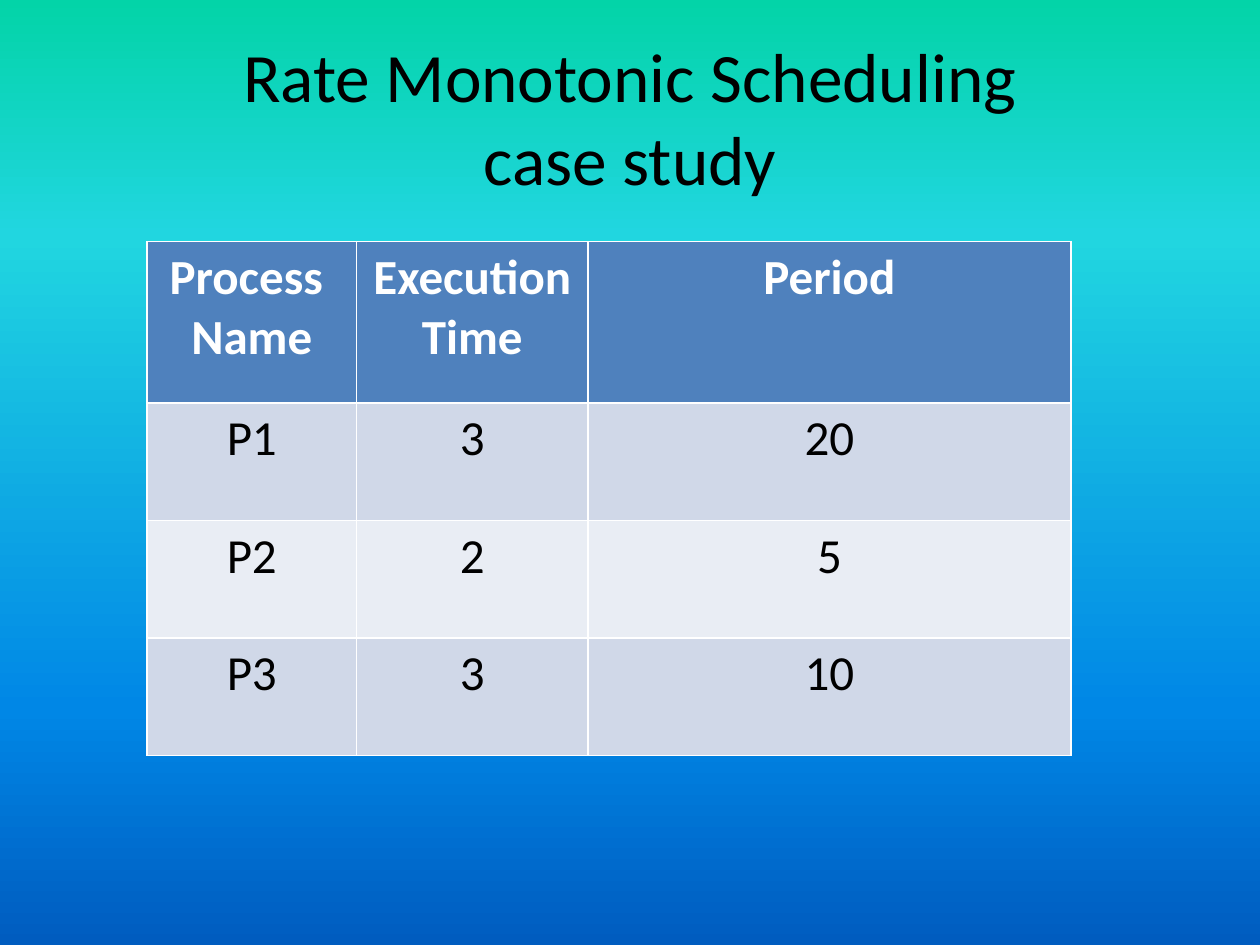
from pptx import Presentation, util as u
from pptx.dml.color import RGBColor
from pptx.enum import text
from pptx.oxml import ns
from lxml import etree

INK = {"head": "4F81BD", "odd": "D0D8E8", "even": "E9EDF4",
       "white": "FFFFFF", "black": "000000"}
SKY = {0: "03D4A8", 25: "21D6E0", 75: "0087E6", 100: "005CBF"}


def style(par, size, color, bold=False):
    par.alignment = text.PP_ALIGN.CENTER
    par.font.name = "Calibri"
    par.font.size = u.Pt(size)
    par.font.bold = bold
    par.font.color.rgb = RGBColor.from_string(INK[color])


deck = Presentation()
deck.slide_width, deck.slide_height = u.Cm(25.4), u.Cm(19.05)
slide = deck.slides.add_slide(deck.slide_layouts[6])

# Background: four gradient stops, running top to bottom
fill = slide.background.fill
fill.gradient()
fill.gradient_angle = 270
stops = slide.element.find(".//" + ns.qn("a:gsLst"))
for stop in list(stops):
    stops.remove(stop)
for pos, color in SKY.items():
    stop = etree.SubElement(stops, ns.qn("a:gs"), pos=str(pos * 1000))
    etree.SubElement(stop, ns.qn("a:srgbClr"), val=color)

# Title
title = slide.shapes.add_textbox(u.Cm(1.27), u.Cm(0.76), u.Cm(22.86), u.Cm(3.18))
frame = title.text_frame
frame.word_wrap = True
frame.vertical_anchor = text.MSO_ANCHOR.MIDDLE
frame.text = "Rate Monotonic Scheduling\vcase study"
style(frame.paragraphs[0], 39.6, "black")

# Process table; white borders come from the default table style
rows = [("Process \nName", "Execution\nTime", "Period"),
        ("P1", "3", "20"),
        ("P2", "2", "5"),
        ("P3", "3", "10")]
wide = [4.23, 4.66, 9.74]
high = [3.25] + [2.37] * 3
table = slide.shapes.add_table(len(rows), len(wide), u.Cm(2.96), u.Cm(4.87),
                               u.Cm(sum(wide)), u.Cm(sum(high))).table
for col, width in zip(table.columns, wide):
    col.width = u.Cm(width)
for r, row in enumerate(rows):
    table.rows[r].height = u.Cm(high[r])
    head = r == 0
    shade = "head" if head else "odd" if r % 2 else "even"
    for c, words in enumerate(row):
        cell = table.cell(r, c)
        cell.fill.solid()
        cell.fill.fore_color.rgb = RGBColor.from_string(INK[shade])
        cell.text = words
        for par in cell.text_frame.paragraphs:
            style(par, 28, "white" if head else "black", head)

deck.save("out.pptx")
